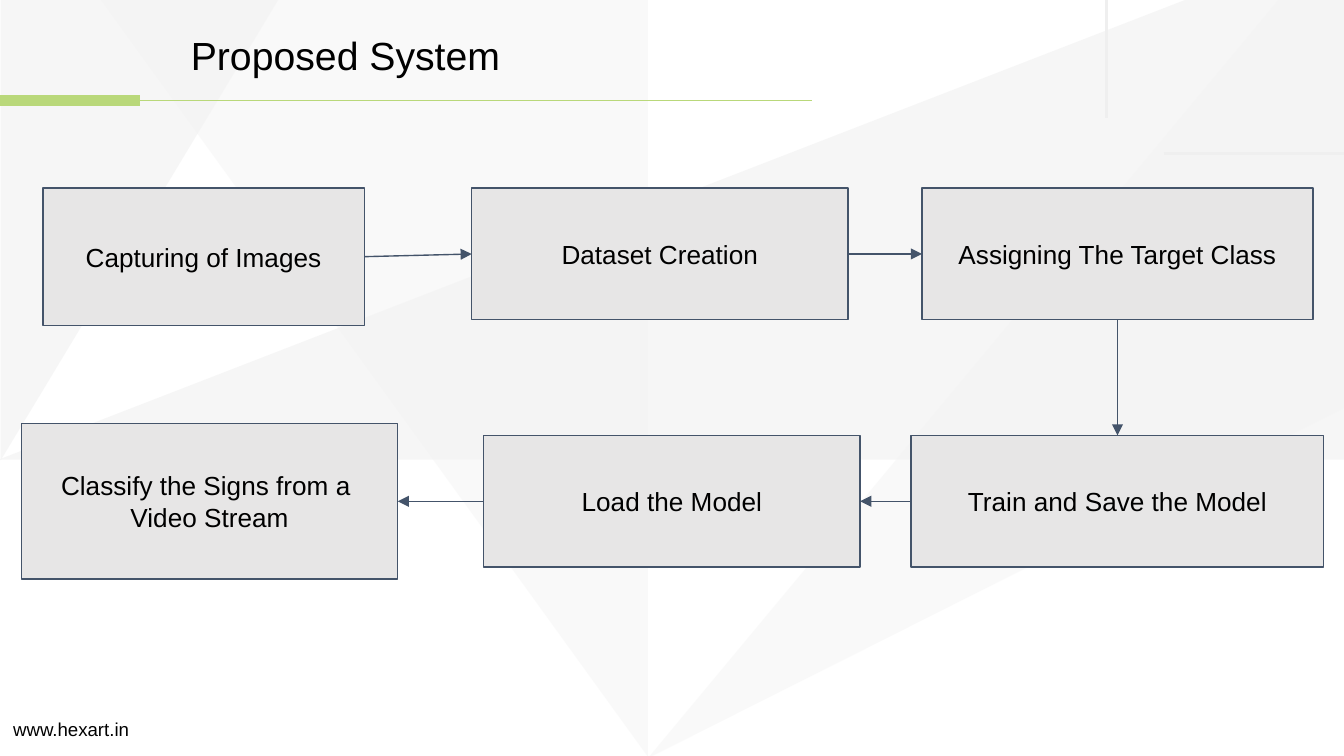
"""Build the Proposed System flow slide."""
from lxml import etree
from pptx import Presentation
from pptx.dml.color import RGBColor
from pptx.enum.shapes import MSO_CONNECTOR, MSO_SHAPE
from pptx.enum.text import MSO_ANCHOR, MSO_AUTO_SIZE, PP_ALIGN
from pptx.oxml.ns import qn
from pptx.util import Inches, Pt

STRAIGHT = MSO_CONNECTOR.STRAIGHT
RECTANGLE, TRIANGLE = MSO_SHAPE.RECTANGLE, MSO_SHAPE.RIGHT_TRIANGLE
TOP, MIDDLE = MSO_ANCHOR.TOP, MSO_ANCHOR.MIDDLE
LEFT, CENTER = PP_ALIGN.LEFT, PP_ALIGN.CENTER
NO_FIT = MSO_AUTO_SIZE.NONE
SITE_TOP, SITE_LEFT, SITE_BOTTOM, SITE_RIGHT = range(4)
BLACK, SLATE, GREY, GREEN = "000000", "44546A", "E7E6E6", "B9D87A"
PALE, FAINT = "F3F3F3", "EFEFEF"


def write(shape, text, size, anchor, align):
    """Fill a shape with formatted text."""
    frame = shape.text_frame
    frame.text = text
    frame.word_wrap = True
    frame.auto_size = NO_FIT
    frame.vertical_anchor = anchor
    frame.margin_left = frame.margin_right = Inches(0.1)
    frame.margin_top = frame.margin_bottom = Inches(0.1)
    for para in frame.paragraphs:
        para.alignment = align
        para.line_spacing = 1
        for span in para.runs:
            span.font.name = "Arial"
            span.font.size = Pt(size)
            span.font.color.rgb = RGBColor.from_string(BLACK)


def draw_line(x1, y1, x2, y2, color, width):
    """Draw a straight line without shadow."""
    line = page.shapes.add_connector(STRAIGHT, Inches(x1), Inches(y1), Inches(x2), Inches(y2))
    line.line.color.rgb = RGBColor.from_string(color)
    line.line.width = Pt(width)
    etree.SubElement(line._element.spPr, qn("a:effectLst"))
    return line


deck = Presentation()
deck.slide_width = Inches(10)
deck.slide_height = Inches(10) * 9 // 16
page = deck.slides.add_slide(deck.slide_layouts[5])

backdrop = [
    (0.54, -0.29, 4.28, 5.92, 180, 43),
    (3.12, -3.67, 3.96, 10.22, 270, 72),
    (-0.71, 0.54, 3.6, 2.17, 90, 72),
    (5.76, -0.96, 3.13, 7.18, 243.3, 43),
]
for left, top, width, height, angle, opacity in backdrop:
    facet = page.shapes.add_shape(TRIANGLE, Inches(left), Inches(top), Inches(width), Inches(height))
    facet.rotation = angle
    facet.shadow.inherit = False
    facet.line.fill.background()
    facet.fill.solid()
    facet.fill.fore_color.rgb = RGBColor.from_string(PALE)
    color = facet._element.spPr.find(qn("a:solidFill"))[0]
    etree.SubElement(color, qn("a:alpha"), val=str(opacity * 1000))

draw_line(0, 0.75, 1.04, 0.75, GREEN, 6)
draw_line(0.89, 0.75, 6.04, 0.75, GREEN, 0.75)
draw_line(8.23, 0, 8.23, 0.88, FAINT, 1.5)
draw_line(8.66, 1.14, 10.01, 1.14, FAINT, 1.5)

website = page.shapes.add_textbox(0, Inches(5.28), Inches(1.28), Inches(0.29))
write(website, "www.hexart.in", 10, MIDDLE, LEFT)

title = page.shapes.title
title.left, title.top, title.width, title.height = Inches(1.32), Inches(0.13), Inches(4.31), Inches(0.51)
write(title, "Proposed System", 21, TOP, LEFT)
page.shapes._spTree.append(title._element)

steps = [
    ("Capturing of Images", 0.32, 1.4, 2.39, 1.02),
    ("Dataset Creation", 3.51, 1.4, 2.8, 0.98),
    ("Assigning The Target Class", 6.86, 1.4, 2.91, 0.98),
    ("Train and Save the Model", 6.78, 3.24, 3.07, 0.98),
    ("Load the Model", 3.6, 3.24, 2.8, 0.98),
    ("Classify the Signs from a \nVideo Stream", 0.16, 3.15, 2.8, 1.16),
]
boxes = []
for label, left, top, width, height in steps:
    box = page.shapes.add_shape(RECTANGLE, Inches(left), Inches(top), Inches(width), Inches(height))
    box.shadow.inherit = False
    box.fill.solid()
    box.fill.fore_color.rgb = RGBColor.from_string(GREY)
    box.line.color.rgb = RGBColor.from_string(SLATE)
    box.line.width = Pt(0.75)
    write(box, label, 14, MIDDLE, CENTER)
    boxes.append(box)

rightward, downward, leftward = (SITE_RIGHT, SITE_LEFT), (SITE_BOTTOM, SITE_TOP), (SITE_LEFT, SITE_RIGHT)
directions = [rightward, rightward, downward, leftward, leftward]
for source, target, (start, end) in zip(boxes, boxes[1:], directions):
    arrow = draw_line(0, 0, 1, 1, SLATE, 0.75)
    arrow.begin_connect(source, start)
    arrow.end_connect(target, end)
    etree.SubElement(arrow.line._get_or_add_ln(), qn("a:tailEnd"), type="triangle")

deck.save("out.pptx")
